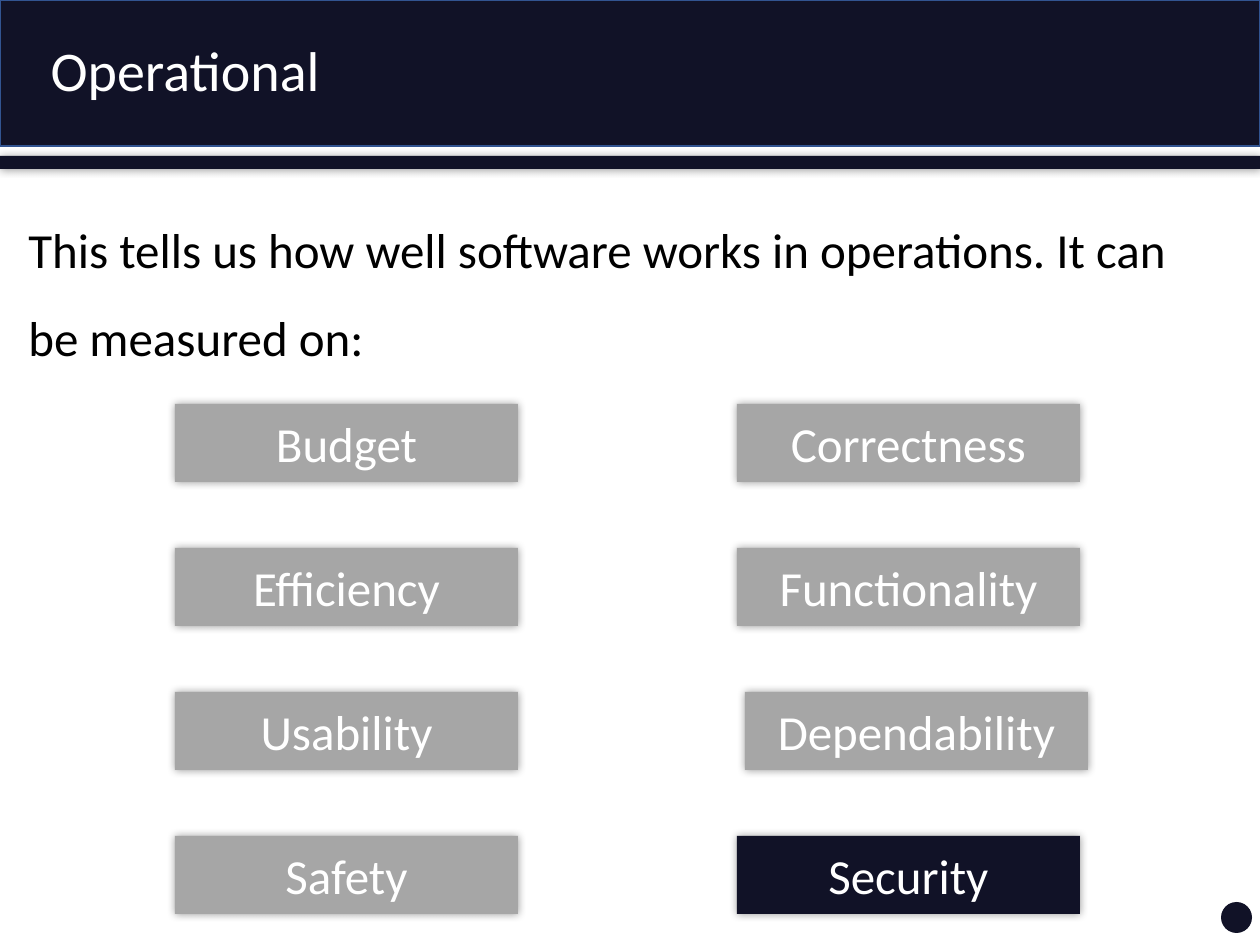
"""Build the slide on operational software quality factors."""
from lxml.etree import SubElement
from pptx import Presentation
from pptx.dml.color import RGBColor
from pptx.enum.shapes import MSO_SHAPE
from pptx.enum.text import MSO_ANCHOR, MSO_AUTO_SIZE, PP_ALIGN
from pptx.oxml.ns import qn
from pptx.util import Inches, Pt

TITLE = "Operational"
INTRO = "This tells us how well software works in operations. It can be measured on:"
FACTORS = [
    ("Budget", "Correctness"),
    ("Efficiency", "Functionality"),
    ("Usability", "Dependability"),
    ("Safety", "Security"),
]
HIGHLIGHT = "Security"
NUDGES = {"Dependability": 8}

NAVY = RGBColor(0x11, 0x12, 0x27)
BLUE = RGBColor(0x32, 0x54, 0x91)
GREY = RGBColor(0xA6, 0xA6, 0xA6)
WHITE = RGBColor(0xFF, 0xFF, 0xFF)
BLACK = RGBColor(0x00, 0x00, 0x00)

FONT = "Calibri"
PX_PER_INCH = 126
SLIDE_W, SLIDE_H = 1260, 945
COLUMNS = (175, 737)
ROW_TOP, ROW_STEP = 404, 144
BOX_W, BOX_H = 343, 78


def px(n):
    return round(n * Inches(1) / PX_PER_INCH)


def add_shape(slide, kind, box, fill):
    sp = slide.shapes.add_shape(kind, *map(px, box))
    sp.shadow.inherit = False
    sp.fill.solid()
    sp.fill.fore_color.rgb = fill
    sp.line.fill.background()
    return sp


def add_glow_shadow(sp):
    effects = sp._element.spPr.find(qn("a:effectLst"))
    shadow = SubElement(effects, qn("a:outerShdw"), blurRad=str(Pt(5)), dist="0", dir="0")
    color = SubElement(shadow, qn("a:srgbClr"), val="000000")
    SubElement(color, qn("a:alpha"), val="40000")


def write(sp, text, size, color, align, anchor, spacing=1.0):
    tf = sp.text_frame
    tf.word_wrap = True
    tf.auto_size = MSO_AUTO_SIZE.NONE
    tf.vertical_anchor = anchor
    p = tf.paragraphs[0]
    p.alignment = align
    p.line_spacing = spacing
    p.space_before = Pt(0)
    r = p.add_run()
    r.text = text
    r.font.name = FONT
    r.font.size = Pt(size)
    r.font.color.rgb = color


def add_header(slide):
    banner = add_shape(slide, MSO_SHAPE.RECTANGLE, (0, 0, SLIDE_W, 146), NAVY)
    banner.line.color.rgb = BLUE
    banner.line.width = Pt(1)
    add_shape(slide, MSO_SHAPE.OVAL, (1221, 902, 31, 31), NAVY)
    add_glow_shadow(add_shape(slide, MSO_SHAPE.RECTANGLE, (0, 156, SLIDE_W, 13), NAVY))

    title = slide.shapes.title
    title.left, title.top, title.width, title.height = map(px, (38, 0, 1192, 146))
    write(title, TITLE, 32, WHITE, PP_ALIGN.LEFT, MSO_ANCHOR.MIDDLE, 0.9)
    slide.shapes._spTree.append(title._element)


def add_factors(slide):
    for row, names in enumerate(FACTORS):
        for left, name in zip(COLUMNS, names):
            box = (left + NUDGES.get(name, 0), ROW_TOP + row * ROW_STEP, BOX_W, BOX_H)
            fill = NAVY if name == HIGHLIGHT else GREY
            sp = add_shape(slide, MSO_SHAPE.RECTANGLE, box, fill)
            add_glow_shadow(sp)
            write(sp, name, 28, WHITE, PP_ALIGN.CENTER, MSO_ANCHOR.MIDDLE)


def main():
    prs = Presentation()
    prs.slide_width, prs.slide_height = px(SLIDE_W), px(SLIDE_H)
    slide = prs.slides.add_slide(prs.slide_layouts[5])
    add_header(slide)
    intro = slide.shapes.add_textbox(*map(px, (16, 184, 1213, 746)))
    write(intro, INTRO, 28, BLACK, PP_ALIGN.LEFT, MSO_ANCHOR.TOP, 1.5)
    add_factors(slide)
    prs.save("out.pptx")


if __name__ == "__main__":
    main()
